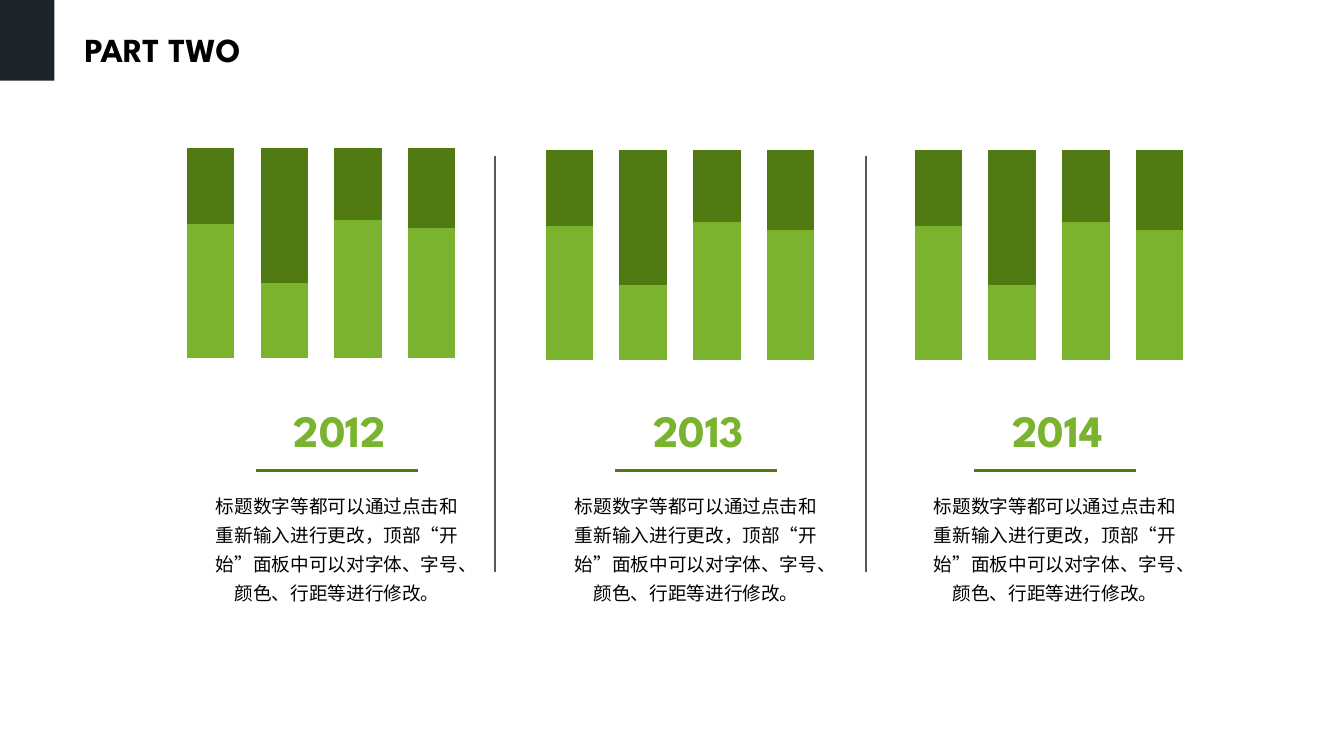
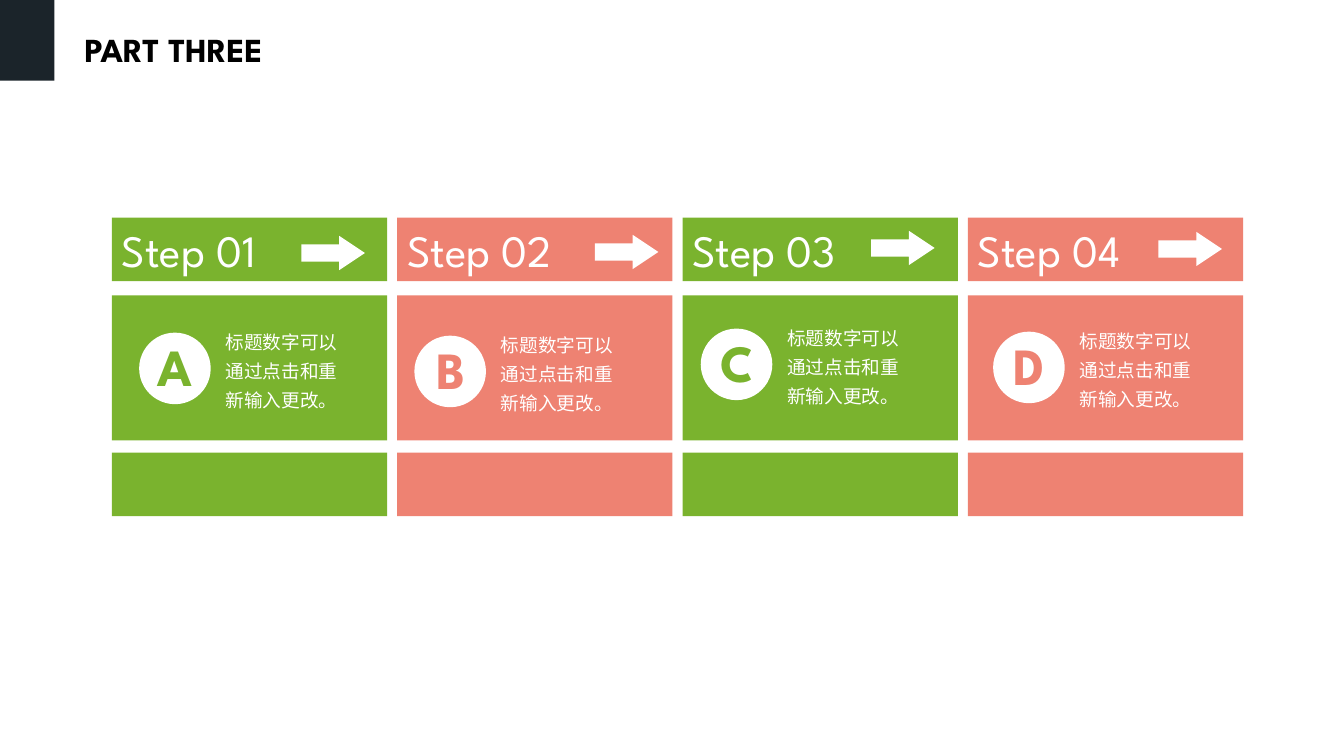
"""Build two slides: yearly stacked columns and a four-step process."""
from typing import Any, NamedTuple

from lxml.etree import SubElement
from pptx import Presentation
from pptx.chart.data import CategoryChartData
from pptx.dml.color import RGBColor
from pptx.enum.chart import XL_CHART_TYPE as CHART
from pptx.enum.shapes import MSO_CONNECTOR as LINE, MSO_SHAPE as SHAPE
from pptx.enum.text import MSO_ANCHOR as ANCHOR, MSO_AUTO_SIZE as AUTO, PP_ALIGN as ALIGN
from pptx.oxml.ns import qn
from pptx.util import Inches, Pt

COLORS = {
    "band": "1B242A", "black": "000000", "white": "FFFFFF", "rule": "595959",
    "green": "7AB32E", "dark": "517A13", "coral": "EE8272",
}
LATIN, CJK = "League Spartan", "Noto Sans CJK SC"
YEAR_TEXT = "标题数字等都可以通过点击和重新输入进行更改，顶部“开始”面板中可以对字体、字号、颜色、行距等进行修改。"
STEP_TEXT = "标题数字可以通过点击和重新输入更改。"
SERIES = {"Series 1": ("green", (64, 36, 66, 62)), "Series 2": ("dark", (36, 64, 34, 38))}
YEAR_LEFT, YEAR_PITCH = 1.98, 3.56
STEP_LEFT, STEP_PITCH, STEP_WIDTH = 1.11, 2.83, 2.73


class Style(NamedTuple):
    size: float
    color: str
    name: str = LATIN
    bold: bool = False
    align: Any = ALIGN.LEFT
    spacing: float = 1.0


class Year(NamedTuple):
    label: str
    chart_x: float
    chart_y: float


class Step(NamedTuple):
    letter: str
    color: str
    arrow_x: float
    arrow_y: float
    circle_x: float
    circle_y: float


TITLE = Style(24, "black", bold=True, spacing=0.9)
YEAR = Style(32, "green", bold=True, align=ALIGN.CENTER)
YEAR_BODY = Style(13.3, "black", align=ALIGN.CENTER, spacing=1.3)
STEP_HEAD = Style(32, "white")
STEP_BODY = Style(13.3, "white", CJK, spacing=1.3)

YEARS = [Year("2012", 1.66, 1.43), Year("2013", 5.22, 1.45), Year("2014", 8.88, 1.45)]
STEPS = [
    Step("A", "green", 2.99, 2.34, 1.38, 3.3),
    Step("B", "coral", 5.9, 2.33, 4.11, 3.33),
    Step("C", "green", 8.64, 2.29, 6.95, 3.26),
    Step("D", "coral", 11.49, 2.3, 9.85, 3.29),
]


def rgb(color: str) -> RGBColor:
    return RGBColor.from_string(COLORS[color])


def write(tf: Any, text: str, style: Style) -> None:
    p = tf.paragraphs[0]
    for key, value in {"alignment": style.align, "line_spacing": style.spacing}.items():
        setattr(p, key, value)
    r = p.add_run()
    r.text = text
    for key, value in {"size": Pt(style.size), "name": style.name, "bold": style.bold}.items():
        setattr(r.font, key, value)
    r.font.color.rgb = rgb(style.color)
    SubElement(r.font._element, qn("a:ea"), typeface=CJK)


def add_text(s: Any, x: float, y: float, w: float, h: float, text: str, style: Style,
             **frame: Any) -> None:
    tf = s.shapes.add_textbox(Inches(x), Inches(y), Inches(w), Inches(h)).text_frame
    for key, value in ({"word_wrap": True, "auto_size": AUTO.SHAPE_TO_FIT_TEXT} | frame).items():
        setattr(tf, key, value)
    write(tf, text, style)


def add_shape(shapes: Any, kind: Any, x: float, y: float, w: float, h: float, color: str) -> Any:
    sp = shapes.add_shape(kind, Inches(x), Inches(y), Inches(w), Inches(h))
    sp.shadow.inherit = False
    sp.fill.solid()
    sp.fill.fore_color.rgb = rgb(color)
    sp.line.fill.background()
    return sp


def add_line(s: Any, x1: float, y1: float, x2: float, y2: float, color: str, width: float) -> None:
    cn = s.shapes.add_connector(LINE.STRAIGHT, Inches(x1), Inches(y1), Inches(x2), Inches(y2))
    cn.line.color.rgb = rgb(color)
    cn.line.width = Pt(width)
    SubElement(cn._element.spPr, qn("a:effectLst"))


def add_chart(s: Any, x: float, y: float) -> None:
    data = CategoryChartData()
    data.categories = ["1", "2", "3", "4"]
    for name, (_, values) in SERIES.items():
        data.add_series(name, values)
    chart = s.shapes.add_chart(CHART.COLUMN_STACKED_100, Inches(x), Inches(y),
                               Inches(3.05), Inches(2.17), data).chart
    chart.has_legend = chart.has_title = False
    for key, value in {"size": Pt(18), "name": LATIN}.items():
        setattr(chart.font, key, value)
    chart.font.color.rgb = rgb("black")
    for axis in (chart.category_axis, chart.value_axis):
        for key in ("visible", "has_major_gridlines"):
            setattr(axis, key, False)
    plot = chart.plots[0]
    for key, value in {"gap_width": 56, "overlap": 100, "vary_by_categories": False}.items():
        setattr(plot, key, value)
    for series, (color, _) in zip(plot.series, SERIES.values()):
        series.format.fill.solid()
        series.format.fill.fore_color.rgb = rgb(color)


def new_slide(prs: Any, title: str) -> Any:
    s = prs.slides.add_slide(prs.slide_layouts[6])
    add_shape(s.shapes, SHAPE.RECTANGLE, 0, 0, 0.54, 0.8, "band")
    add_text(s, 0.74, 0.22, 5.32, 0.58, title, TITLE,
             auto_size=AUTO.NONE, vertical_anchor=ANCHOR.MIDDLE)
    return s


def add_year(s: Any, index: int, year: Year) -> None:
    x = YEAR_LEFT + index * YEAR_PITCH
    add_chart(s, year.chart_x, year.chart_y)
    add_text(s, x + 0.51, 3.95, 1.76, 0.64, year.label, YEAR)
    add_line(s, x + 0.56, 4.67, x + 2.17, 4.67, "dark", 2)
    add_text(s, x, 4.79, 2.73, 1.27, YEAR_TEXT, YEAR_BODY)


def add_step(s: Any, index: int, step: Step) -> None:
    x = STEP_LEFT + index * STEP_PITCH
    for y, h in ((2.93, 1.44), (4.49, 0.63)):
        add_shape(s.shapes, SHAPE.RECTANGLE, x, y, STEP_WIDTH, h, step.color)
    header = s.shapes.add_group_shape().shapes
    sp = add_shape(header, SHAPE.RECTANGLE, x, 2.16, STEP_WIDTH, 0.63, step.color)
    sp.text_frame.vertical_anchor = ANCHOR.MIDDLE
    write(sp.text_frame, f"Step {index + 1:02}", STEP_HEAD)
    arrow = add_shape(header, SHAPE.RIGHT_ARROW, step.arrow_x, step.arrow_y, 0.63, 0.34, "white")
    arrow.adjustments[1] = 0.75
    cx, cy = step.circle_x, step.circle_y
    add_shape(s.shapes, SHAPE.OVAL, cx, cy, 0.71, 0.71, "white")
    add_text(s, cx + 0.76, cy - 0.13, 1.46, 0.98, STEP_TEXT, STEP_BODY)
    letter = Style(37.3, step.color, bold=True, align=ALIGN.CENTER)
    add_text(s, cx + 0.06, cy - 0.03, 0.6, 0.73, step.letter, letter, word_wrap=False)


def main() -> None:
    prs = Presentation()
    prs.slide_width, prs.slide_height = Inches(13.33), Inches(7.5)
    s = new_slide(prs, "PART TWO")
    for index, year in enumerate(YEARS):
        add_year(s, index, year)
    for x in (4.91, 8.59):
        add_line(s, x, 1.55, x, 5.67, "rule", 1)
    s = new_slide(prs, "PART THREE")
    for index, step in enumerate(STEPS):
        add_step(s, index, step)
    prs.save("out.pptx")


if __name__ == "__main__":
    main()
